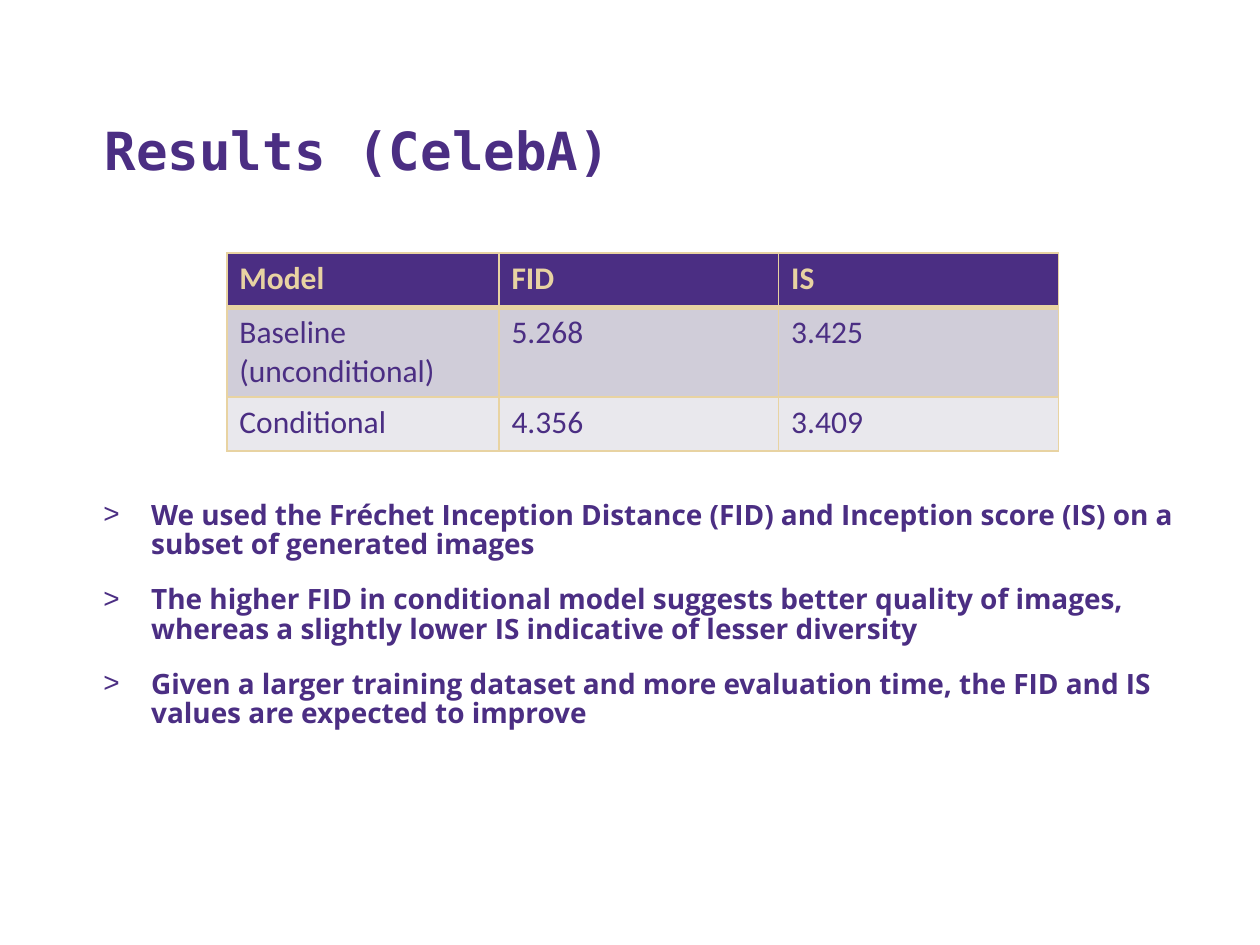
from lxml import etree
from pptx import Presentation
from pptx import util as u
from pptx.dml.color import RGBColor
from pptx.enum import text
from pptx.oxml import ns

COLORS = {
    "purple": "4B2E83",
    "gold": "E8D3A2",
    "band_dark": "D0CDD9",
    "band_light": "E9E8ED",
}
SCORES = [
    ["Model", "FID", "IS"],
    ["Baseline (unconditional)", "5.268", "3.425"],
    ["Conditional", "4.356", "3.409"],
]
FINDINGS = [
    "We used the Fréchet Inception Distance (FID) and Inception score (IS) "
    "on a subset of generated images",
    "The higher FID in conditional model suggests better quality of images, "
    "whereas a slightly lower IS indicative of lesser diversity",
    "Given a larger training dataset and more evaluation time, "
    "the FID and IS values are expected to improve",
]


def place(part, box):
    """Move a placeholder to a box of left, top, width and height in inches."""
    part.left, part.top, part.width, part.height = map(u.Inches, box)


def style(paragraph, name, size, color, bold):
    """Set the font of a whole paragraph."""
    font = paragraph.font
    font.name, font.size, font.bold = name, u.Pt(size), bold
    font.color.rgb = RGBColor.from_string(COLORS[color])


def add_heading(heading, box):
    """Fill the title placeholder."""
    place(heading, box)
    frame = heading.text_frame
    frame.text = "Results (CelebA)"
    frame.auto_size = text.MSO_AUTO_SIZE.NONE
    frame.vertical_anchor = text.MSO_ANCHOR.BOTTOM
    frame.paragraphs[0].alignment = text.PP_ALIGN.LEFT
    style(frame.paragraphs[0], "DejaVu Sans Mono", 30, "purple", True)


def add_bullet(paragraph, indent):
    """Give a paragraph a hanging angle-bracket bullet."""
    props = paragraph._p.get_or_add_pPr()
    props.set("marL", str(indent))
    props.set("indent", str(-indent))
    etree.SubElement(props, ns.qn("a:buFont"), typeface="Arial")
    etree.SubElement(props, ns.qn("a:buChar"), char=">")


def add_findings(findings, box):
    """Fill the body placeholder with the bulleted findings."""
    place(findings, box)
    frame = findings.text_frame
    frame.text = "\n".join(FINDINGS)
    frame.auto_size = text.MSO_AUTO_SIZE.NONE
    for index, paragraph in enumerate(frame.paragraphs):
        add_bullet(paragraph, u.Inches(0.38))
        paragraph.line_spacing = 0.88
        paragraph.space_before = u.Pt(14.5 if index else 1.5)
        style(paragraph, "Open Sans", 16, "purple", True)


def add_border(cell, side, points):
    """Draw one gold border of a cell."""
    line = etree.SubElement(
        cell._tc.get_or_add_tcPr(), ns.qn(f"a:ln{side}"), w=str(u.Pt(points))
    )
    fill = etree.SubElement(line, ns.qn("a:solidFill"))
    etree.SubElement(fill, ns.qn("a:srgbClr"), val=COLORS["gold"])


def add_scores(slide, box):
    """Add the table of scores with a thick rule under its header."""
    left, top, width, height = map(u.Inches, box)
    scores = slide.shapes.add_table(
        len(SCORES), len(SCORES[0]), left, top, width, height
    ).table
    for column, column_width in zip(scores.columns, (2.16, 2.22, 2.22)):
        column.width = u.Inches(column_width)
    for row, row_height in zip(scores.rows, (0.43, 0.7, 0.43)):
        row.height = u.Inches(row_height)
    fills = ("purple", "band_dark", "band_light")
    for r, (values, fill) in enumerate(zip(SCORES, fills)):
        header = r == 0
        borders = {"L": 1, "R": 1, "T": 3 if r == 1 else 1, "B": 3 if header else 1}
        for c, value in enumerate(values):
            cell = scores.cell(r, c)
            cell.text = value
            for side, points in borders.items():
                add_border(cell, side, points)
            cell.fill.solid()
            cell.fill.fore_color.rgb = RGBColor.from_string(COLORS[fill])
            style(cell.text_frame.paragraphs[0], "Calibri", 18,
                  "gold" if header else "purple", header)


def main():
    """Build and save the results slide."""
    deck = Presentation()
    deck.slide_width, deck.slide_height = u.Inches(10), u.Inches(7.5)
    slide = deck.slides.add_slide(deck.slide_layouts[1])
    add_heading(slide.shapes.title, (0.73, 0.41, 8.95, 1.08))
    add_findings(slide.placeholders[1], (0.72, 3.93, 8.96, 2.28))
    add_scores(slide, (1.8, 2.01, 6.6, 1.56))
    deck.save("out.pptx")


if __name__ == "__main__":
    main()
